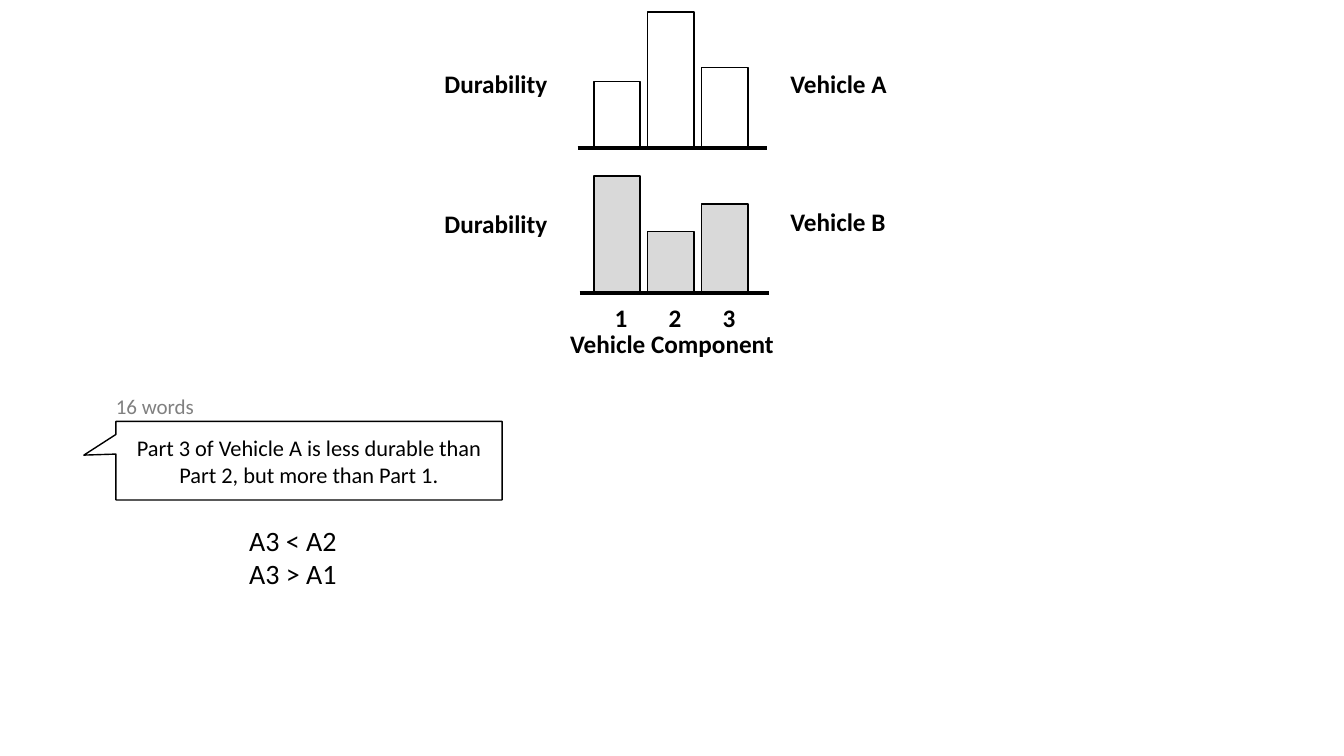
from dataclasses import dataclass

from lxml import etree
from pptx import Presentation
from pptx import util as u
from pptx.dml.color import RGBColor
from pptx.enum import shapes, text
from pptx.oxml.ns import qn


@dataclass(frozen=True)
class Theme:
    font: str = "Calibri"
    ink: str = "000000"
    muted: str = "808080"
    bar_a: str = "FFFFFF"
    bar_b: str = "D9D9D9"
    label: int = 18
    callout: int = 16
    relation: int = 20
    note: int = 15
    outline: int = 1
    baseline: int = 3


THEME = Theme()
LEFT, CENTER = text.PP_ALIGN.LEFT, text.PP_ALIGN.CENTER
BAR_LEFT, BAR_WIDTH, BAR_PITCH = 5.89, 0.46, 0.535
AXIS_WIDTH = 1.88
DURABILITY_LEFT, VEHICLE_LEFT = 4.31, 7.74

# name, bar fill, axis start, axis height on slide, label tops, bar heights
VEHICLES = [
    ("Vehicle A", THEME.bar_a, 5.73, 1.47, (0.63, 0.63), (0.66, 1.35, 0.8)),
    ("Vehicle B", THEME.bar_b, 5.75, 2.905, (2.02, 2.0), (1.16, 0.61, 0.88)),
]


def color(value):
    return RGBColor.from_string(value)


def write(sp, lines, size=THEME.label, ink=THEME.ink, bold=False, align=LEFT,
          anchor=text.MSO_ANCHOR.TOP):
    tf = sp.text_frame
    tf.word_wrap = True
    tf.vertical_anchor = anchor
    for i, line in enumerate(lines):
        p = tf.add_paragraph() if i else tf.paragraphs[0]
        p.alignment = align
        r = p.add_run()
        r.text = line
        r.font.name = THEME.font
        r.font.size = u.Pt(size)
        r.font.bold = bold
        r.font.color.rgb = color(ink)


def add_text(slide, lines, left, top, width, height, **style):
    sp = slide.shapes.add_textbox(*map(u.Inches, (left, top, width, height)))
    write(sp, lines, **style)


def add_outlined(slide, kind, left, top, width, height, fill=None):
    sp = slide.shapes.add_shape(kind, *map(u.Inches, (left, top, width, height)))
    sp.shadow.inherit = False
    if fill:
        sp.fill.solid()
        sp.fill.fore_color.rgb = color(fill)
    else:
        sp.fill.background()
    sp.line.color.rgb = color(THEME.ink)
    sp.line.width = u.Pt(THEME.outline)
    return sp


def add_baseline(slide, left, y):
    line = slide.shapes.add_connector(
        shapes.MSO_CONNECTOR.STRAIGHT,
        *map(u.Inches, (left, y, left + AXIS_WIDTH, y)))
    line.line.color.rgb = color(THEME.ink)
    line.line.width = u.Pt(THEME.baseline)
    etree.SubElement(line._element.spPr, qn("a:effectLst"))


def add_vehicle(slide, name, fill, axis_left, axis_y, label_tops, heights):
    """Draw one row: bars on a baseline between its two labels."""
    for i, height in enumerate(heights):
        add_outlined(slide, shapes.MSO_SHAPE.RECTANGLE, BAR_LEFT + i * BAR_PITCH,
                     axis_y - height, BAR_WIDTH, height, fill)
    add_baseline(slide, axis_left, axis_y)
    durability_top, name_top = label_tops
    add_text(slide, ["Durability"], DURABILITY_LEFT, durability_top, 1.51, 0.4, bold=True)
    add_text(slide, [name], VEHICLE_LEFT, name_top, 1.19, 0.4, bold=True)


def add_component_axis(slide):
    for i in range(3):
        add_text(slide, [str(i + 1)], BAR_LEFT + 0.04 + i * BAR_PITCH, 2.95,
                 BAR_WIDTH, 0.32, bold=True, align=CENTER)
    add_text(slide, ["Vehicle Component"], 5.47, 3.21, 2.39, 0.4,
             bold=True, align=CENTER)


def add_statement(slide):
    callout = add_outlined(slide, shapes.MSO_SHAPE.RECTANGULAR_CALLOUT,
                           1.15, 4.18, 3.83, 0.78)
    callout.adjustments[0] = -0.583
    callout.adjustments[1] = -0.07
    write(callout, ["Part 3 of Vehicle A is less durable than Part 2, but more than Part 1."],
          size=THEME.callout, align=CENTER, anchor=text.MSO_ANCHOR.MIDDLE)
    add_text(slide, ["A3 < A2", "A3 > A1"], 2.23, 5.14, 1.35, 0.77,
             size=THEME.relation, align=CENTER)
    add_text(slide, ["16 words"], 1.05, 3.85, 1.35, 0.35,
             size=THEME.note, ink=THEME.muted)


def main():
    prs = Presentation()
    prs.slide_width, prs.slide_height = u.Inches(13.33), u.Inches(7.5)
    slide = prs.slides.add_slide(prs.slide_layouts[6])
    for vehicle in VEHICLES:
        add_vehicle(slide, *vehicle)
    add_component_axis(slide)
    add_statement(slide)
    prs.save("out.pptx")


if __name__ == "__main__":
    main()
